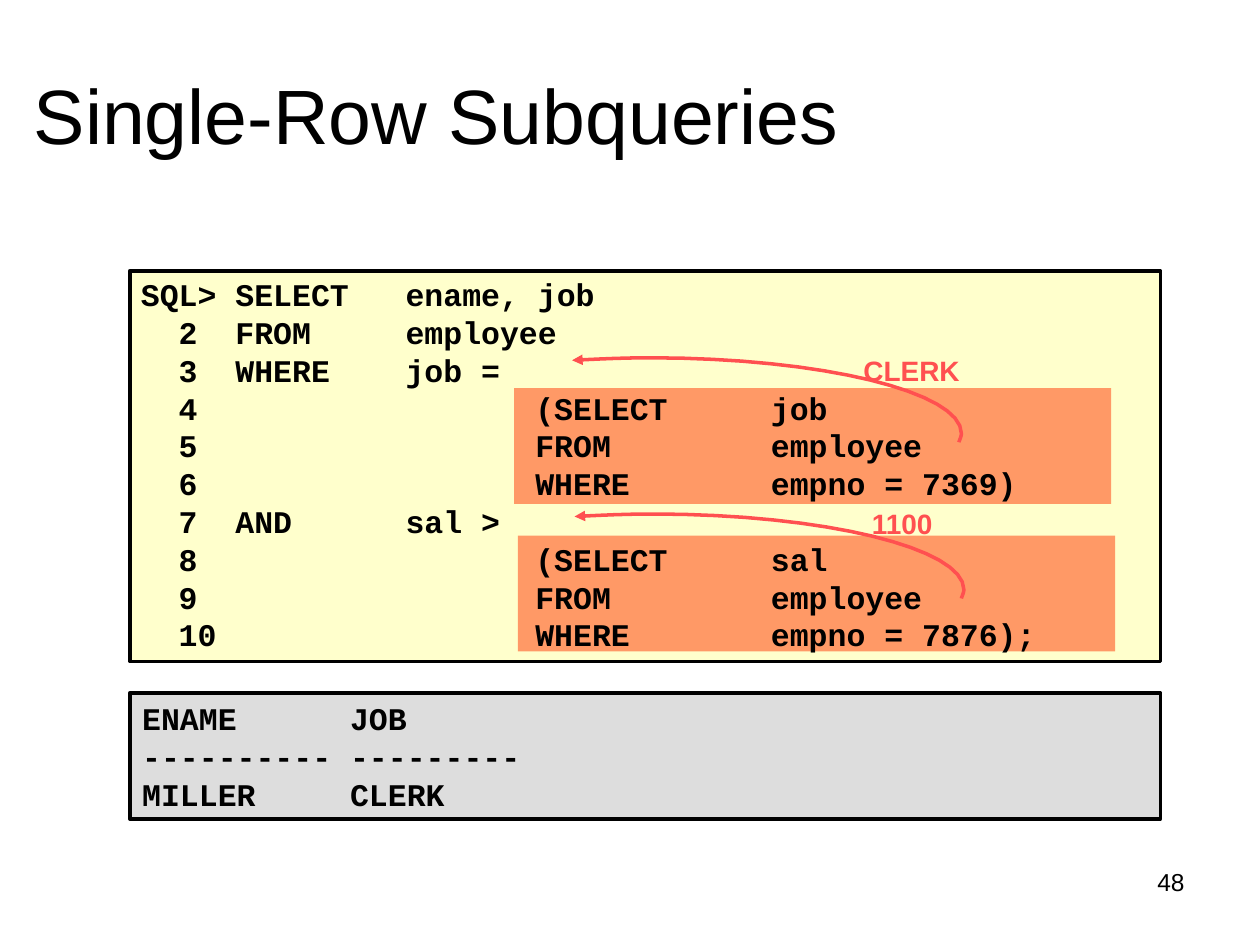
from dataclasses import dataclass

from lxml.etree import SubElement
from pptx import Presentation
from pptx.dml.color import RGBColor
from pptx.enum.shapes import MSO_SHAPE
from pptx.enum.text import MSO_ANCHOR, PP_ALIGN
from pptx.oxml.ns import qn
from pptx.util import Inches, Pt


@dataclass(frozen=True)
class Theme:
    ink: RGBColor = RGBColor.from_string("000000")
    code_fill: RGBColor = RGBColor.from_string("FFFFCC")
    result_fill: RGBColor = RGBColor.from_string("DDDDDD")
    highlight: RGBColor = RGBColor.from_string("FF9966")
    accent: RGBColor = RGBColor.from_string("FF5050")
    sans: str = "Arial"
    mono: str = "Courier New"
    title_size: int = 44
    code_size: int = 18
    label_size: int = 16
    number_size: int = 14
    code_leading: float = 21.6
    line_width: int = 2


@dataclass(frozen=True)
class Box:
    left: float
    top: float
    width: float
    height: float

    def emu(self) -> tuple:
        return tuple(Inches(v) for v in (self.left, self.top, self.width, self.height))


@dataclass(frozen=True)
class Subquery:
    """A highlighted subquery, the value it returns and the arrow to its use."""
    highlight: Box
    arrow_tip: tuple[float, float]
    value: str
    label: Box


THEME = Theme()
CODE_TABS = (1.31, 3.13, 5)
CODE = """SQL> SELECT   ename, job
  2  FROM     employee
  3  WHERE    job =
  4\t\t(SELECT\tjob
  5\t\tFROM\temployee
  6\t\tWHERE\tempno = 7369)
  7  AND      sal >
  8\t\t(SELECT\tsal
  9\t\tFROM\temployee
  10\t\tWHERE\tempno = 7876);"""
RESULT = """ENAME      JOB
---------- ---------
MILLER     CLERK"""

SUBQUERIES = (
    Subquery(Box(4.08, 3.08, 4.74, 0.92), (4.54, 2.86), "CLERK", Box(6.75, 2.7, 0.97, 0.42)),
    Subquery(Box(4.11, 4.25, 4.74, 0.92), (4.56, 4.1), "1100", Box(6.81, 3.92, 0.7, 0.42)),
)

# Bezier segments of the return arrow, as offsets from its tip
ARROW_CURVES = (
    ((0, 0), (0.2, -0.01), (0.41, -0.02), (0.62, -0.02)),
    ((0.62, -0.02), (1.98, -0.02), (3.09, 0.25), (3.09, 0.58)),
    ((3.09, 0.58), (3.09, 0.6), (3.08, 0.62), (3.07, 0.65)),
)
CURVE_STEPS = 16


def bezier_point(curve: tuple, t: float) -> tuple[float, float]:
    weights = ((1 - t) ** 3, 3 * t * (1 - t) ** 2, 3 * t**2 * (1 - t), t**3)
    return tuple(sum(w * point[axis] for w, point in zip(weights, curve)) for axis in (0, 1))


def set_text(shape, text: str, size: int, font: str = THEME.sans, color: RGBColor = THEME.ink,
             bold: bool = False, align=PP_ALIGN.LEFT, anchor=MSO_ANCHOR.TOP,
             spacing=None, wrap: bool = True) -> None:
    frame = shape.text_frame
    frame.text = text
    frame.word_wrap = wrap
    frame.vertical_anchor = anchor
    for paragraph in frame.paragraphs:
        paragraph.alignment = align
        paragraph.line_spacing = spacing
        for run in paragraph.runs:
            run.font.name = font
            run.font.size = Pt(size)
            run.font.bold = bold
            run.font.color.rgb = color


def set_code(shape, text: str) -> None:
    set_text(shape, text, THEME.code_size, THEME.mono, bold=True,
             anchor=MSO_ANCHOR.MIDDLE, spacing=Pt(THEME.code_leading))


def set_tabs(shape, stops: tuple) -> None:
    for paragraph in shape.text_frame.paragraphs:
        tab_list = SubElement(paragraph._p.get_or_add_pPr(), qn("a:tabLst"))
        for stop in stops:
            SubElement(tab_list, qn("a:tab"), pos=str(Inches(stop)), algn="l")


def add_rectangle(shapes, box: Box, fill: RGBColor, bordered: bool = False):
    rectangle = shapes.add_shape(MSO_SHAPE.RECTANGLE, *box.emu())
    rectangle.shadow.inherit = False
    rectangle.fill.solid()
    rectangle.fill.fore_color.rgb = fill
    if bordered:
        rectangle.line.color.rgb = THEME.ink
        rectangle.line.width = Pt(THEME.line_width)
    else:
        rectangle.line.fill.background()
    return rectangle


def add_return_arrow(shapes, tip: tuple[float, float]) -> None:
    points = [
        (Inches(tip[0] + x), Inches(tip[1] + y))
        for curve in ARROW_CURVES
        for x, y in (bezier_point(curve, step / CURVE_STEPS) for step in range(1, CURVE_STEPS + 1))
    ]
    builder = shapes.build_freeform(Inches(tip[0]), Inches(tip[1]))
    builder.add_line_segments(points, close=False)
    arrow = builder.convert_to_shape()
    arrow.shadow.inherit = False
    arrow.fill.background()
    arrow.line.color.rgb = THEME.accent
    arrow.line.width = Pt(THEME.line_width)
    line = arrow.line._get_or_add_ln()
    SubElement(line, qn("a:round"))
    SubElement(line, qn("a:headEnd"), type="triangle")


def add_subquery(slide, subquery: Subquery) -> None:
    shapes = slide.shapes.add_group_shape().shapes
    add_rectangle(shapes, subquery.highlight, THEME.highlight)
    add_return_arrow(shapes, subquery.arrow_tip)
    label = shapes.add_textbox(*subquery.label.emu())
    set_text(label, subquery.value, THEME.label_size, color=THEME.accent, bold=True,
             align=PP_ALIGN.CENTER, spacing=1.2, wrap=False)


def main() -> None:
    presentation = Presentation()
    presentation.slide_width = Inches(10)
    presentation.slide_height = Inches(7.5)
    slide = presentation.slides.add_slide(presentation.slide_layouts[6])
    shapes = slide.shapes

    number = shapes.add_textbox(*Box(7.17, 6.83, 2.33, 0.52).emu())
    set_text(number, "48", THEME.number_size, align=PP_ALIGN.RIGHT)

    add_rectangle(shapes, Box(1.03, 2.15, 8.18, 3.1), THEME.code_fill, bordered=True)

    title = shapes.add_textbox(*Box(0.17, 0.42, 8.4, 0.96).emu())
    set_text(title, "Single-Row Subqueries", THEME.title_size, anchor=MSO_ANCHOR.MIDDLE)

    for subquery in SUBQUERIES:
        add_subquery(slide, subquery)

    result = add_rectangle(shapes, Box(1.03, 5.5, 8.18, 1), THEME.result_fill, bordered=True)
    set_code(result, RESULT)

    code = shapes.add_textbox(*Box(1.02, 2.12, 7.91, 3.13).emu())
    set_code(code, CODE)
    set_tabs(code, CODE_TABS)

    presentation.save("out.pptx")


if __name__ == "__main__":
    main()
